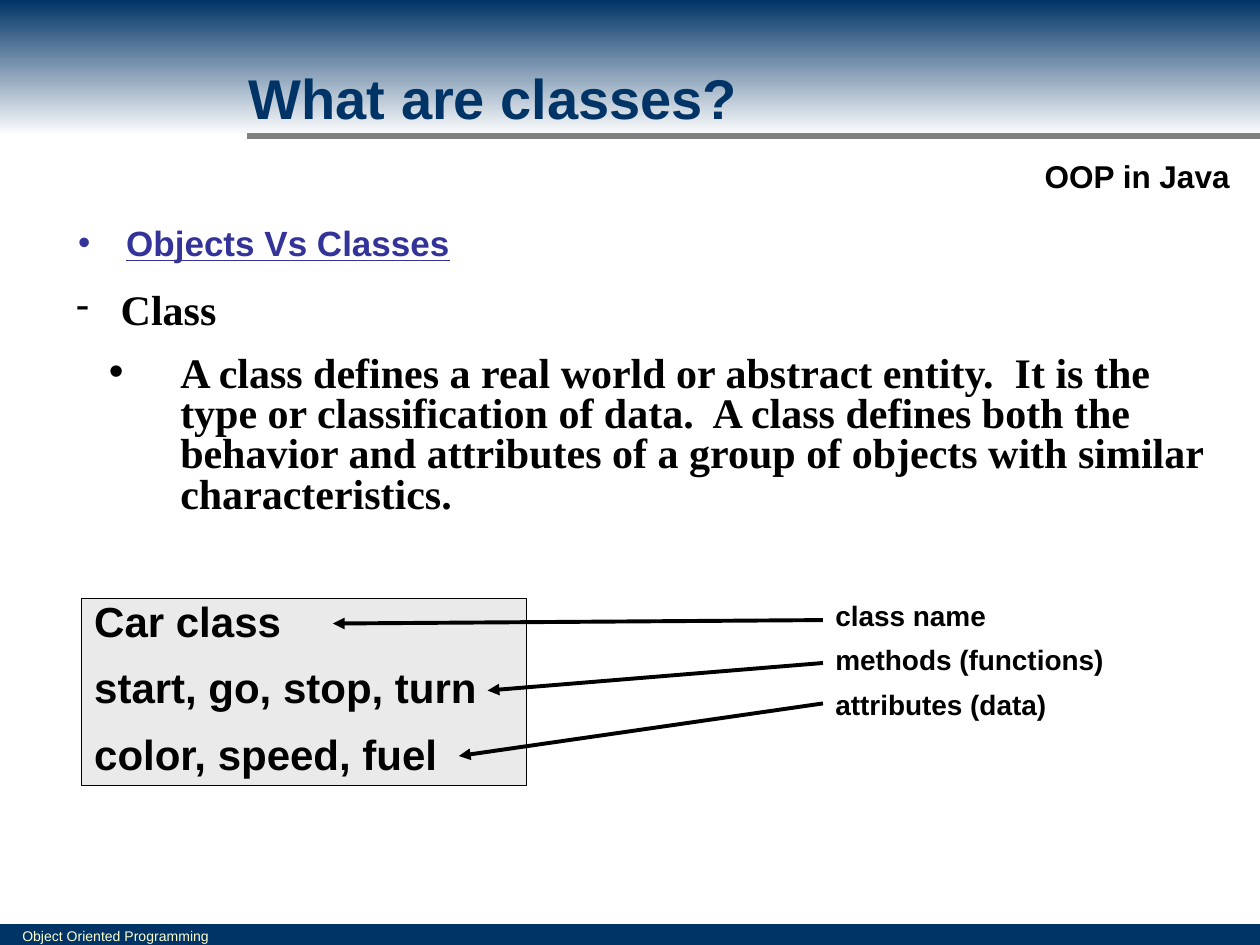
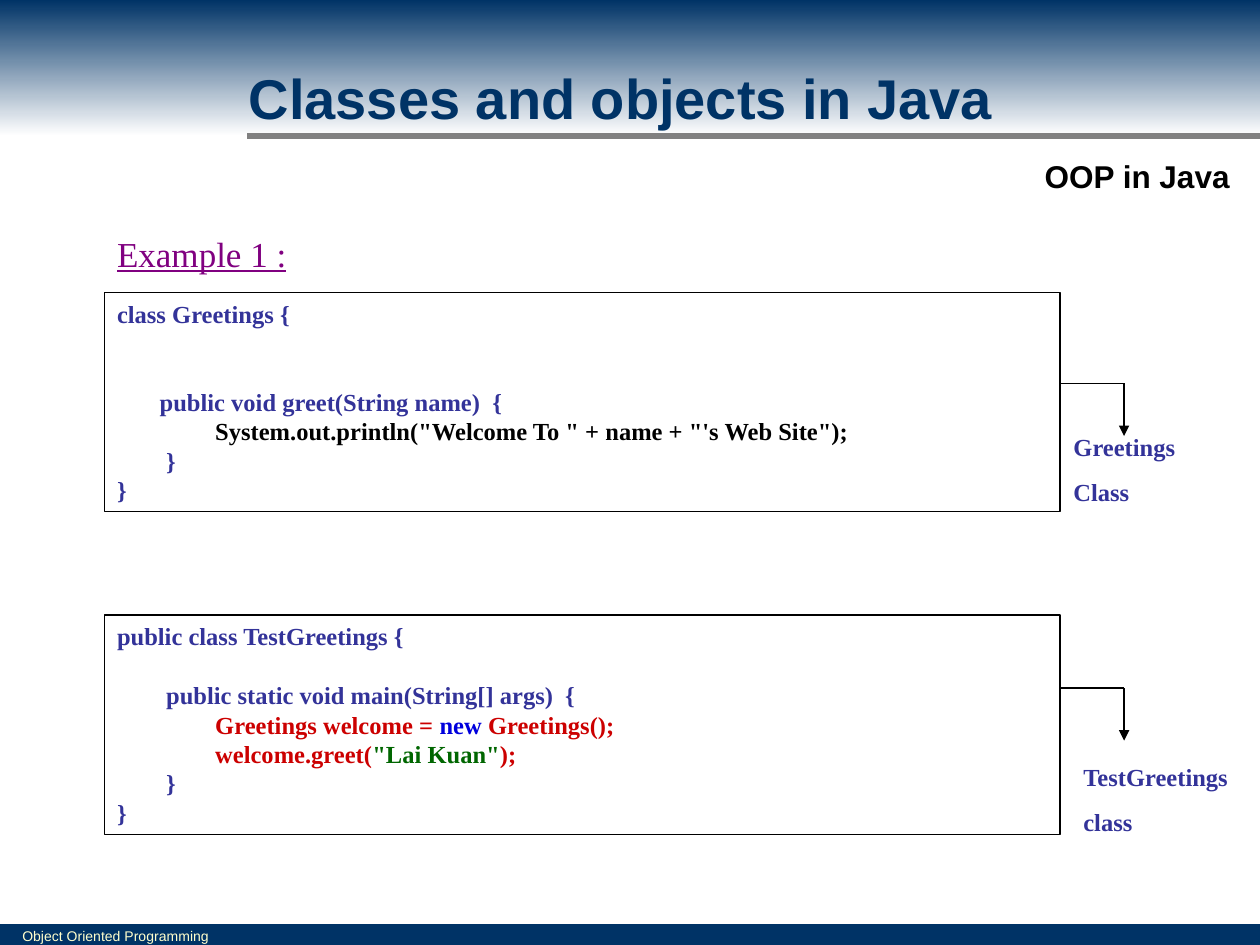
from dataclasses import dataclass

from lxml import etree
from pptx import Presentation
from pptx.dml.color import RGBColor
from pptx.enum.shapes import MSO_CONNECTOR, MSO_SHAPE
from pptx.enum.text import MSO_ANCHOR, MSO_AUTO_SIZE, PP_ALIGN
from pptx.oxml.ns import qn
from pptx.util import Cm, Pt

RECT = MSO_SHAPE.RECTANGLE
STRAIGHT = MSO_CONNECTOR.STRAIGHT
TOP, MIDDLE = MSO_ANCHOR.TOP, MSO_ANCHOR.MIDDLE
LEFT, CENTER = PP_ALIGN.LEFT, PP_ALIGN.CENTER
FIXED = MSO_AUTO_SIZE.NONE


@dataclass(frozen=True)
class Theme:
    sans: str = "Arial"
    serif: str = "Times New Roman"
    navy: str = "003366"
    white: str = "FFFFFF"
    black: str = "000000"
    gray: str = "808080"
    pale: str = "EAEAEA"
    cream: str = "FFFFCC"
    indigo: str = "333399"
    purple: str = "800080"
    red: str = "CC0000"
    blue: str = "0000DD"
    green: str = "006600"
    title: int = 32
    large: int = 24
    head: int = 20
    tag: int = 18
    label: int = 16
    code: int = 14
    foot: int = 8


T = Theme()

# Content; all lengths are in cm
WIDE, HIGH = 25.4, 19.05
BAND, BAR = 2.74, 0.42
FOOTER = "Object Oriented Programming"
TAG = "OOP in Java"

# A paragraph is a text, or a pair of (text or coloured runs, format)
HEADING = ["Objects Vs Classes"]
MEANING = [
    ("Class", dict(bullet="-", indent=2.18, hang=0.91, spacing=0.5)),
    ("A class defines a real world or abstract entity.  It is the\v"
     "type or classification of data.  A class defines both the\v"
     "behavior and attributes of a group of objects with similar\v"
     "characteristics.",
     dict(bullet="•", indent=3.38, hang=1.44, spacing=0.8, before=14.4)),
]
CAR = ["Car class", "start, go, stop, turn", "color, speed, fuel"]
LABELS = ["class name", "methods (functions)", "attributes (data)"]
TIPS = [(6.71, 12.57), (9.83, 13.92), (9.25, 15.24)]

LINE = 16.8             # height of a line of code, in points
INNER, DEEP = 0.99, 1.98  # indents of the code
CLOSE = [("}", dict(indent=INNER)), "}"]
GREET = [
    "class Greetings {",
    ("public void greet(String name)  {", dict(indent=0.86, before=2 * LINE)),
    ([("System.out.println(\"Welcome To \" + name + \"'s Web Site\");", T.black)],
     dict(indent=DEEP)),
    *CLOSE,
]
TEST = [
    "public class TestGreetings {",
    ("public static void main(String[] args)  {",
     dict(indent=INNER, before=LINE)),
    ([("Greetings welcome = ", T.red), ("new", T.blue),
      (" Greetings();", T.red)], dict(indent=DEEP)),
    ([("welcome.greet(", T.red), ("\"Lai Kuan\"", T.green), (");", T.red)],
     dict(indent=DEEP)),
    *CLOSE,
]
# code, top of its box, height of the arrow, name, place of the name
BLOCKS = [
    (GREET, 5.9, 7.73, ["Greetings", "Class"], (21.39, 8.59, 2.97, 1.75)),
    (TEST, 12.4, 13.87, ["TestGreetings", "class"], (21.59, 15.24, 3.81, 1.75)),
]


def rgb(tone):
    return RGBColor.from_string(tone)


def place(shape, *at):
    shape.left, shape.top, shape.width, shape.height = map(Cm, at)
    return shape


def mark(para, char, tone):
    """Give a paragraph a bullet of its own colour."""
    props = para._p.get_or_add_pPr()
    hue = etree.SubElement(props, qn("a:buClr"))
    etree.SubElement(hue, qn("a:srgbClr"), val=tone)
    etree.SubElement(props, qn("a:buChar"), char=char)


def style(para, runs, font=T.sans, size=T.code, color=T.black, bold=False,
          under=False, align=LEFT, before=0, spacing=None, indent=0, hang=0,
          bullet=None):
    para.alignment = align
    para.space_before = Pt(before)
    if spacing:
        para.line_spacing = spacing
    props = para._p.get_or_add_pPr()
    props.set("marL", str(Cm(indent)))
    props.set("indent", str(-Cm(hang)))
    if bullet:
        mark(para, bullet, color)
    for text, tone in [(runs, color)] if isinstance(runs, str) else runs:
        for i, part in enumerate(text.split("\v")):
            if i:
                para.add_line_break()
            run = para.add_run()
            run.text = part
            face = run.font
            face.name, face.size, face.bold = font, Pt(size), bold
            face.underline, face.color.rgb = under, rgb(tone)


def write(shape, paras, anchor=TOP, **form):
    """Fill a shape with paragraphs in a common format."""
    frame = shape.text_frame
    frame.word_wrap, frame.auto_size = True, FIXED
    frame.vertical_anchor = anchor
    for i, item in enumerate(paras):
        runs, own = (item, {}) if isinstance(item, str) else item
        para = frame.add_paragraph() if i else frame.paragraphs[0]
        style(para, runs, **{**form, **own})
    return shape


def note(slide, at, paras, **form):
    return write(slide.shapes.add_textbox(*map(Cm, at)), paras, **form)


def box(slide, at, fill=None, line=None):
    shape = slide.shapes.add_shape(RECT, *map(Cm, at))
    shape.shadow.inherit = False
    if fill:
        shape.fill.solid()
        shape.fill.fore_color.rgb = rgb(fill)
    else:
        shape.fill.background()
    if line:
        shape.line.color.rgb = rgb(line)
        shape.line.width = Pt(0.75)
    else:
        shape.line.fill.background()
    return shape


def link(slide, start, end, width=0.75, color=T.black, arrow=False):
    wire = slide.shapes.add_connector(STRAIGHT, *map(Cm, start + end))
    wire.line.color.rgb, wire.line.width = rgb(color), Pt(width)
    if arrow:
        etree.SubElement(wire.line._get_or_add_ln(), qn("a:tailEnd"),
                         type="triangle")
    etree.SubElement(wire._element.spPr, qn("a:effectLst"))
    return wire


def start(deck, layout, title):
    """Add a slide with the shared bands, footer, tag and title."""
    slide = deck.slides.add_slide(deck.slide_layouts[layout])
    box(slide, (0, HIGH - BAR, WIDE, BAR), T.navy)
    note(slide, (0.2, 18.57, 5.38, 0.61), [FOOTER], size=T.foot, color=T.cream)
    band = box(slide, (0, 0, WIDE, BAND))
    band.fill.gradient()
    band.fill.gradient_angle = 270
    for stop, tone in zip(band.fill.gradient_stops, (T.navy, T.white)):
        stop.color.rgb = rgb(tone)
    link(slide, (4.98, BAND), (WIDE, BAND), 3, T.gray)
    note(slide, (20.78, 3.07, 4.29, 0.97), [TAG], anchor=MIDDLE,
         align=CENTER, size=T.tag, bold=True)
    head = place(slide.shapes.title, 4.76, 1.16, 16, 1.6)
    write(head, [title], size=T.title, color=T.navy, bold=True)
    head.element.getparent().append(head.element)  # in front of the band
    return slide


def classes(deck):
    slide = start(deck, 3, "What are classes?")
    body = slide.placeholders
    write(place(body[1], 1.32, 4.34, 23.06, 4.88), HEADING, size=T.head,
          color=T.indigo, bold=True, under=True, before=5, bullet="•",
          indent=0.97, hang=0.97)
    write(place(body[2], 0, 6.03, 24.71, 4.52), MEANING, font=T.serif,
          size=T.large, bold=True)
    top, left = 12.07, 16.59
    car = box(slide, (1.65, top, 8.97, 3.76), T.pale, T.black)
    write(car, CAR, size=T.large, bold=True, spacing=0.8, before=15)
    names = box(slide, (left, top, 8.08, 2.59), T.white, T.white)
    write(names, LABELS, size=T.label, bold=True, spacing=0.8, before=10)
    for i, tip in enumerate(TIPS):
        wire = link(slide, (left, top + 0.43 + 0.84 * i), tip, 2.25, arrow=True)
        if i == 1:
            wire.begin_connect(names, 1)


def example(deck):
    slide = start(deck, 5, "Classes and objects in Java")
    left, width, turn = 2.11, 19.26, 22.66
    code = dict(font=T.serif, size=T.code, color=T.indigo, bold=True)
    note(slide, (left, 4.56, 8.46, 1.12), ["Example 1 :"], font=T.serif,
         size=T.head, color=T.purple, under=True, before=12.5)
    for lines, top, mid, name, at in BLOCKS:
        write(box(slide, (left, top, width, 4.42), line=T.black), lines, **code)
        link(slide, (left + width, mid), (turn, mid))
        link(slide, (turn, mid), (turn, mid + 1.06), arrow=True)
        note(slide, at, name, before=8.8, **code)


def main():
    deck = Presentation()
    deck.slide_width, deck.slide_height = Cm(WIDE), Cm(HIGH)
    classes(deck)
    example(deck)
    deck.save("out.pptx")


if __name__ == "__main__":
    main()
